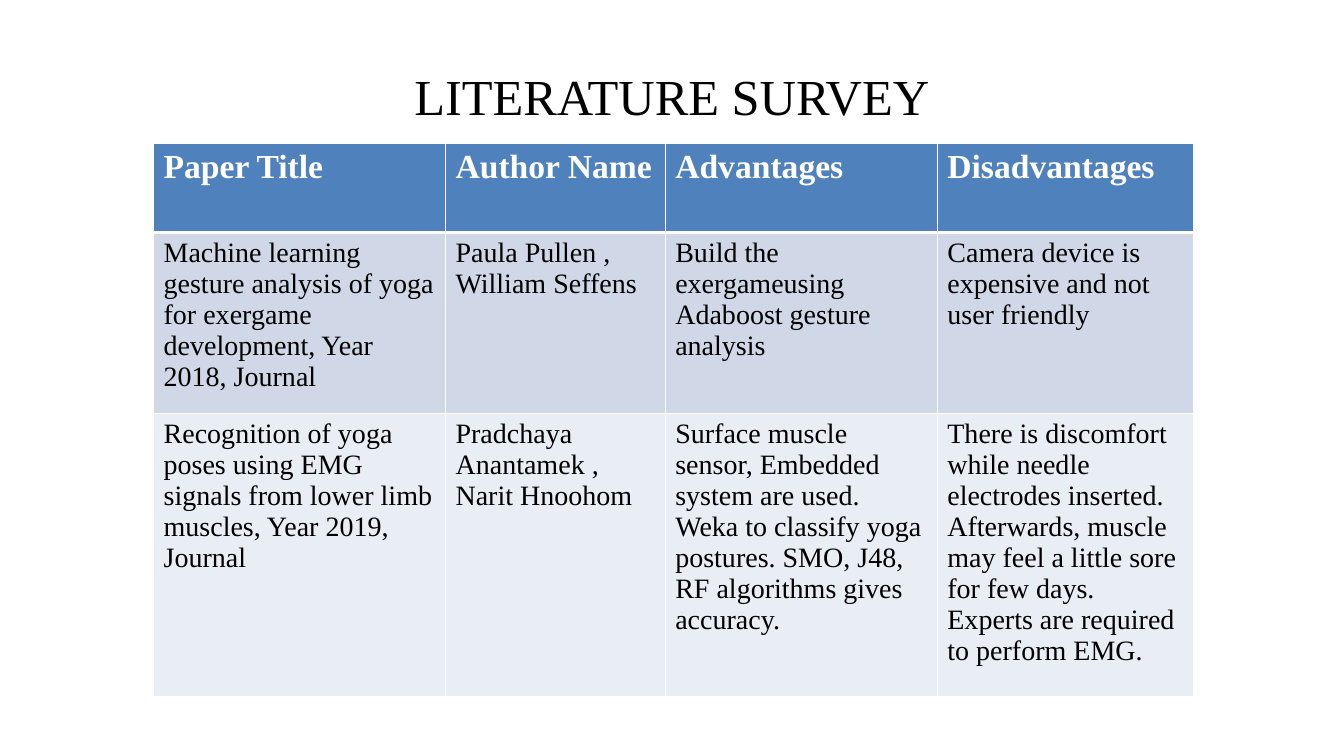
from lxml.etree import SubElement
from pptx import Presentation
from pptx.dml.color import RGBColor
from pptx.enum.text import MSO_ANCHOR as Anchor, PP_ALIGN as Align
from pptx.oxml.ns import qn
from pptx.util import Cm, Pt

FONT = "Times New Roman"
BLACK = RGBColor(0x00, 0x00, 0x00)
WHITE = RGBColor(0xFF, 0xFF, 0xFF)
HEADER_BLUE = RGBColor(0x4F, 0x81, 0xBD)
BAND_DARK = RGBColor(0xD0, 0xD8, 0xE8)
BAND_LIGHT = RGBColor(0xE9, 0xED, 0xF4)

COLUMN_WIDTHS = [7.36, 5.54, 6.86, 6.45]
ROW_HEIGHTS = [2.24, 4.55, 7.14]
SURVEY = [
    ["Paper Title", "Author Name", "Advantages", "Disadvantages"],
    [
        "Machine learning gesture analysis of yoga for exergame development, Year 2018, Journal",
        "Paula Pullen , William Seffens",
        "Build the exergameusing Adaboost gesture analysis",
        "Camera device is expensive and not user friendly",
    ],
    [
        "Recognition of yoga poses using EMG signals from lower limb muscles, Year 2019, Journal",
        "Pradchaya Anantamek , Narit Hnoohom",
        "Surface muscle sensor, Embedded system are used. Weka to classify yoga "
        "postures. SMO, J48, RF algorithms gives accuracy.",
        "There is discomfort while needle electrodes inserted. Afterwards, muscle may "
        "feel a little sore for few days. Experts are required to perform EMG.",
    ],
]
ROW_STYLES = [
    (HEADER_BLUE, WHITE, 24, True),
    (BAND_DARK, BLACK, 20, False),
    (BAND_LIGHT, BLACK, 20, False),
]


def add_run(paragraph, wording, size, color, bold=False):
    run = paragraph.add_run()
    run.text = wording
    run.font.name = FONT
    run.font.size = Pt(size)
    run.font.bold = bold
    run.font.color.rgb = color


def set_borders(cell, widths):
    properties = cell._tc.get_or_add_tcPr()
    for index, (side, width) in enumerate(widths.items()):
        line = SubElement(properties, qn(f"a:{side}"), w=str(Pt(width)))
        solid = SubElement(line, qn("a:solidFill"))
        SubElement(solid, qn("a:srgbClr"), val=str(WHITE))
        properties.remove(line)
        properties.insert(index, line)


def add_heading(slide, left, top, width, height):
    heading = slide.shapes.add_textbox(left, top, width, height).text_frame
    heading.word_wrap = True
    heading.vertical_anchor = Anchor.MIDDLE
    heading.paragraphs[0].alignment = Align.CENTER
    add_run(heading.paragraphs[0], "LITERATURE SURVEY", 36, BLACK)


def add_survey(slide, left, top, width, height):
    survey = slide.shapes.add_table(
        len(SURVEY), len(COLUMN_WIDTHS), left, top, width, height
    ).table
    for column, share in zip(survey.columns, COLUMN_WIDTHS):
        column.width = int(width * share / sum(COLUMN_WIDTHS))
    for row, share in zip(survey.rows, ROW_HEIGHTS):
        row.height = int(height * share / sum(ROW_HEIGHTS))

    for row_index, (entries, style) in enumerate(zip(SURVEY, ROW_STYLES)):
        fill, color, size, bold = style
        borders = {
            "lnL": 1,
            "lnR": 1,
            "lnT": 3 if row_index == 1 else 1,
            "lnB": 3 if row_index == 0 else 1,
        }
        for column_index, entry in enumerate(entries):
            cell = survey.cell(row_index, column_index)
            cell.fill.solid()
            cell.fill.fore_color.rgb = fill
            add_run(cell.text_frame.paragraphs[0], entry, size, color, bold)
            set_borders(cell, borders)


def main():
    deck = Presentation()
    deck.slide_width, deck.slide_height = Cm(33.87), Cm(19.05)
    slide = deck.slides.add_slide(deck.slide_layouts[6])
    add_heading(slide, Cm(2.33), Cm(1.2), Cm(29.21), Cm(2.41))
    add_survey(slide, Cm(3.87), Cm(3.62), Cm(26.2), Cm(13.93))
    deck.save("out.pptx")


if __name__ == "__main__":
    main()
